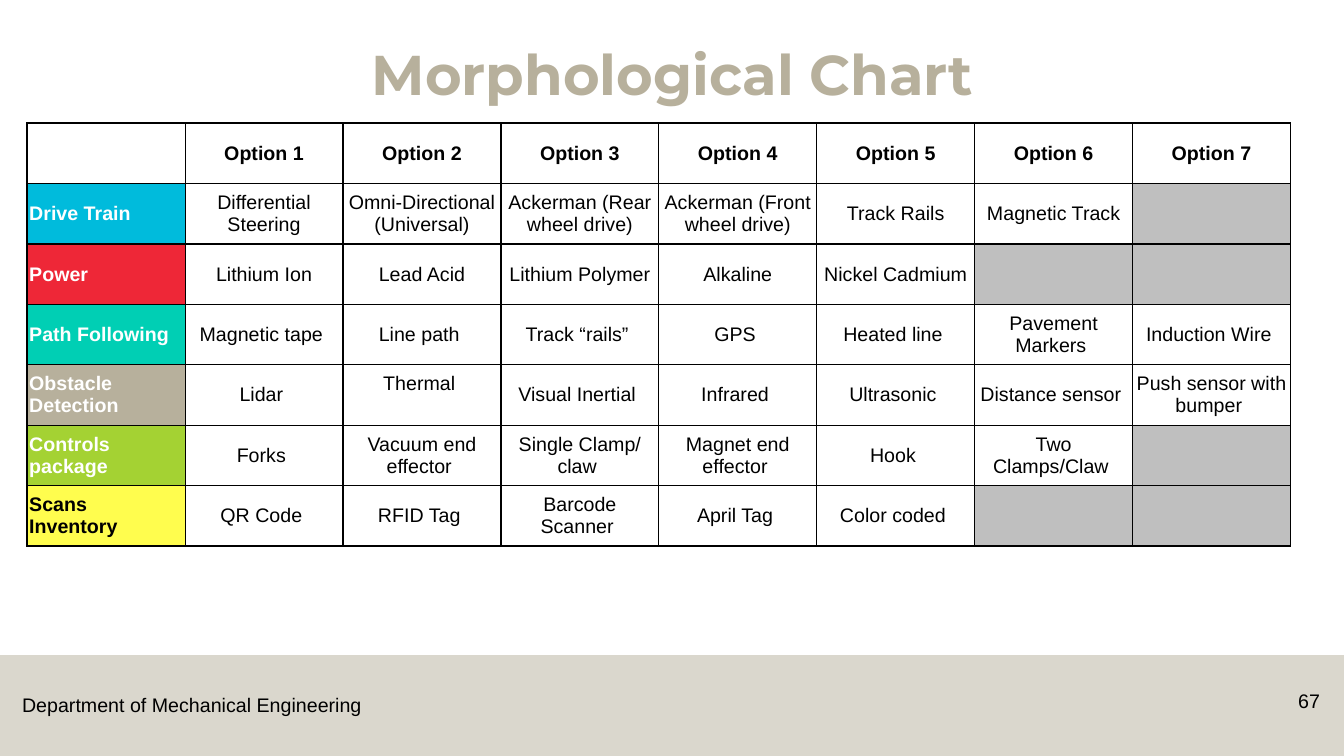
from lxml import etree
from pptx import Presentation
from pptx.dml.color import RGBColor
from pptx.enum.shapes import MSO_SHAPE as Shape
from pptx.enum.text import MSO_ANCHOR as Anchor, PP_ALIGN as Align
from pptx.oxml.ns import qn
from pptx.util import Inches, Pt

BLACK, WHITE, STONE, GREY = "000000", "FFFFFF", "B7B09C", "BFBFBF"
NBSP = chr(160)


def paint(target, color):
    """Give a fill or a font a solid colour from a hex string."""
    if hasattr(target, "solid"):
        target.solid()
        target.fore_color.rgb = RGBColor.from_string(color)
    else:
        target.color.rgb = RGBColor.from_string(color)


def style(para, size, color=BLACK, font="Arial", bold=False, align=Align.LEFT):
    para.alignment = align
    for span in para.runs:
        span.font.name, span.font.size, span.font.bold = font, Pt(size), bold
        paint(span.font, color)


deck = Presentation()
deck.slide_width, deck.slide_height = Inches(13.33), Inches(7.5)
page = deck.slides.add_slide(deck.slide_layouts[6])

# Footer band
band = page.shapes.add_shape(Shape.RECTANGLE, 0, Inches(6.5), deck.slide_width, Inches(1))
band.shadow.inherit = False
band.line.fill.background()
paint(band.fill, STONE)
tint = band.fill._xPr.find(".//" + qn("a:srgbClr"))
etree.SubElement(tint, qn("a:alpha"), val="50000")

# Title, department and page number
texts = [
    ("Department of Mechanical Engineering", (0.12, 6.83, 3.59, 0.34), False, Anchor.TOP,
     dict(size=14)),
    ("Morphological Chart", (0.92, 0.4, 11.5, 0.72), True, Anchor.BOTTOM,
     dict(size=40, color=STONE, font="Montserrat", bold=True, align=Align.CENTER)),
    ("67", (12.42, 6.79, 0.77, 0.4), True, Anchor.TOP, dict(size=14, align=Align.RIGHT)),
]
for text, place, wrap, anchor, look in texts:
    box = page.shapes.add_textbox(*map(Inches, place))
    frame = box.text_frame
    frame.word_wrap, frame.vertical_anchor = wrap, anchor
    frame.text = text
    style(frame.paragraphs[0], **look)
    if text == "Morphological Chart":
        frame.paragraphs[0].line_spacing = 0.9

# Morphological chart: function, its colour, its label colour, its options
functions = [
    ("", WHITE, BLACK, [f"Option {number}" for number in range(1, 8)]),
    ("Drive Train", "00BBDC", WHITE,
     ["Differential Steering", "Omni-Directional (Universal)", "Ackerman (Rear wheel drive)",
      "Ackerman (Front wheel drive)", "Track Rails", "Magnetic Track"]),
    ("Power", "EE2737", WHITE,
     ["Lithium Ion", "Lead Acid", "Lithium Polymer", "Alkaline", "Nickel Cadmium"]),
    ("Path Following", "00CFB4", WHITE,
     ["Magnetic tape", "Line path", "Track “rails”", "GPS", "Heated line",
      "Pavement Markers", "Induction Wire"]),
    ("Obstacle Detection", STONE, WHITE,
     ["Lidar", "Thermal", "Visual Inertial", "Infrared", "Ultrasonic",
      "Distance sensor", "Push sensor with bumper"]),
    ("Controls package", "A4D233", WHITE,
     ["Forks", "Vacuum end effector", f"Single{NBSP}Clamp/claw", "Magnet end effector",
      "Hook", "Two Clamps/Claw"]),
    ("Scans Inventory", "FFFD4E", BLACK,
     ["QR Code", "RFID Tag", "Barcode Scanner", "April Tag", "Color coded"]),
]
ROWS, COLUMNS = len(functions), 8
table = page.shapes.add_table(ROWS, COLUMNS, Inches(0.27), Inches(1.22),
                              Inches(12.53), Inches(4.2)).table
table.first_row = table.horz_banding = False

for row, (label, label_fill, label_color, options) in enumerate(functions):
    for column in range(COLUMNS):
        cell = table.cell(row, column)
        is_label = column == 0
        text = label if is_label else "".join(options[column - 1:column])

        # Thicker lines around the outside
        outer_sides = {"L": column == 0, "R": column == COLUMNS - 1,
                       "T": row == 0, "B": row == ROWS - 1}
        properties = cell._tc.get_or_add_tcPr()
        for side, outer in outer_sides.items():
            width = Pt(1.5 if outer else 1)
            line = etree.SubElement(properties, qn(f"a:ln{side}"), w=str(width))
            solid = etree.SubElement(line, qn("a:solidFill"))
            etree.SubElement(solid, qn("a:srgbClr"), val=BLACK)

        if is_label:
            paint(cell.fill, label_fill)
        else:
            paint(cell.fill, WHITE if text else GREY)
        if not text:
            continue

        cell.vertical_anchor = Anchor.MIDDLE
        cell.margin_left = cell.margin_right = Inches(0.02)
        cell.margin_top = Inches(0.01)
        # Thermal sits one half line above the middle
        cell.margin_bottom = Inches(0.23 if text == "Thermal" else 0.01)
        cell.text_frame.text = text + NBSP if row >= 3 else text
        style(cell.text_frame.paragraphs[0], 14,
              color=label_color if is_label else BLACK,
              bold=is_label or row == 0,
              align=Align.LEFT if is_label else Align.CENTER)

deck.save("out.pptx")
